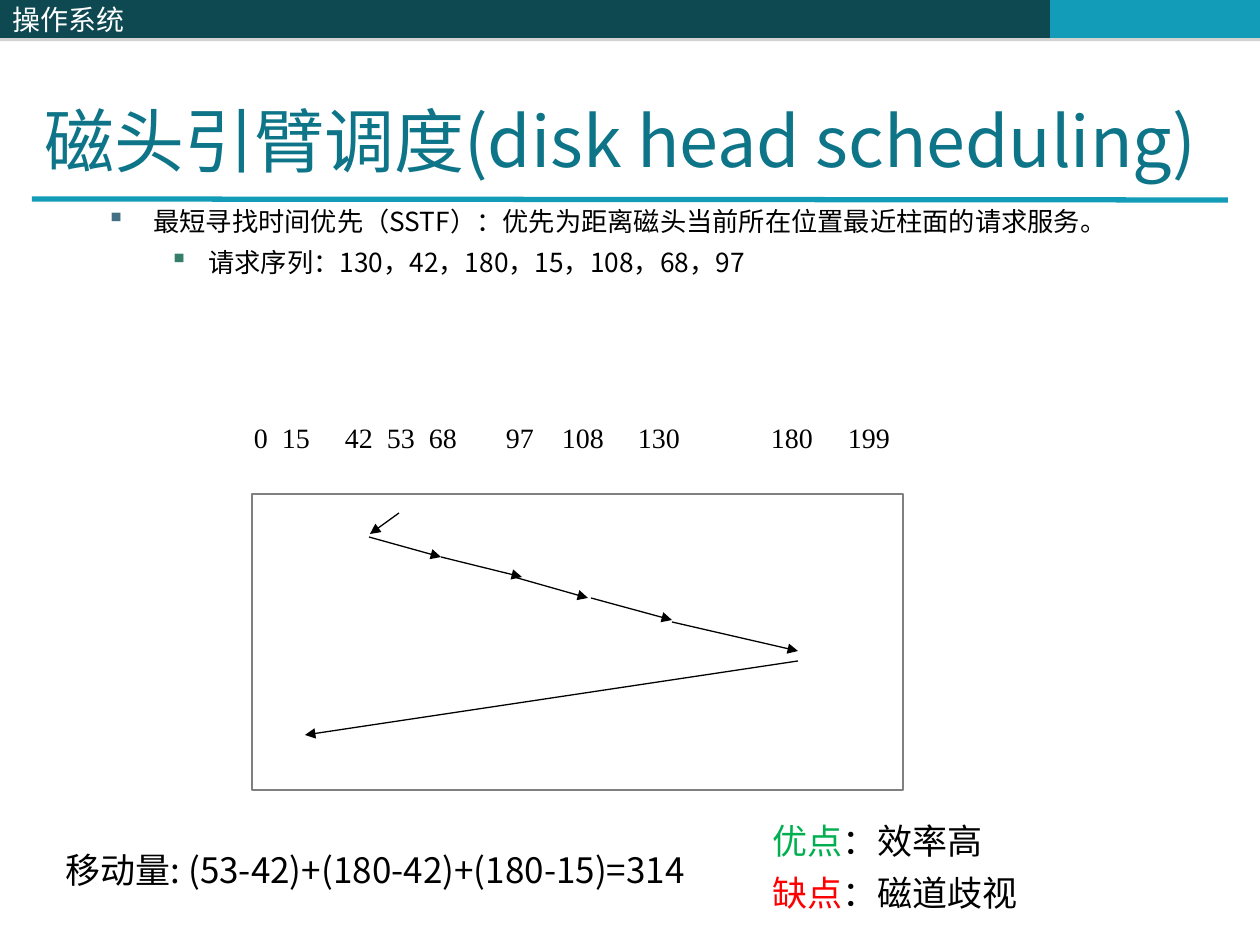
from dataclasses import dataclass

from lxml.etree import SubElement
from pptx import Presentation
from pptx.dml.color import RGBColor
from pptx.enum.shapes import MSO_CONNECTOR, MSO_SHAPE
from pptx.enum.text import MSO_ANCHOR, PP_ALIGN
from pptx.oxml.ns import qn
from pptx.util import Emu, Pt

EMU_PER_PX = 914400 / 126


def px(length):
    return Emu(round(length * EMU_PER_PX))


@dataclass(frozen=True)
class Theme:
    sans: str = "Noto Sans CJK SC"
    serif: str = "Times New Roman"
    dark: str = "0E4851"
    accent: str = "139CB7"
    title: str = "0E7589"
    ink: str = "000000"
    white: str = "FFFFFF"
    grey: str = "808080"
    bullet: str = "437085"
    sub_bullet: str = "357E69"
    good: str = "00B050"
    bad: str = "FF0000"
    title_size: int = 40
    note_size: int = 20
    label_size: int = 16
    body_size: int = 15


class SlideBuilder:
    def __init__(self, slide, theme):
        self.slide = slide
        self.theme = theme

    def font(self, paragraph, size, color, name=None):
        name = name or self.theme.sans
        paragraph.font.size = Pt(size)
        paragraph.font.name = name
        paragraph.font.color.rgb = RGBColor.from_string(color)
        defaults = paragraph._p.pPr.find(qn("a:defRPr"))
        SubElement(defaults, qn("a:ea"), typeface=name)

    def bar(self, left, width, color):
        """Header bar with a thin hard shadow below it."""
        bar = self.slide.shapes.add_shape(
            MSO_SHAPE.RECTANGLE, px(left), 0, px(width), px(38))
        bar.fill.solid()
        bar.fill.fore_color.rgb = RGBColor.from_string(color)
        bar.line.fill.background()
        bar.shadow.inherit = False
        effects = bar._element.spPr.find(qn("a:effectLst"))
        shadow = SubElement(effects, qn("a:outerShdw"), blurRad="0",
                            dist=str(Pt(1.8)), dir="5400000")
        tint = SubElement(shadow, qn("a:srgbClr"), val=self.theme.grey)
        SubElement(tint, qn("a:alpha"), val="35000")
        return bar

    def bar_text(self, bar, text):
        bar.text_frame.text = text
        bar.text_frame.vertical_anchor = MSO_ANCHOR.MIDDLE
        paragraph = bar.text_frame.paragraphs[0]
        paragraph.alignment = PP_ALIGN.LEFT
        self.font(paragraph, self.theme.label_size, self.theme.white)

    def title(self, text, left, top, width, height):
        title = self.slide.shapes.title
        title.left, title.top = px(left), px(top)
        title.width, title.height = px(width), px(height)
        title.text_frame.text = text
        title.text_frame.vertical_anchor = MSO_ANCHOR.MIDDLE
        paragraph = title.text_frame.paragraphs[0]
        paragraph.alignment = PP_ALIGN.LEFT
        self.font(paragraph, self.theme.title_size, self.theme.title)

    def frame(self, left, top, width, height):
        frame = self.slide.shapes.add_shape(
            MSO_SHAPE.RECTANGLE, px(left), px(top), px(width), px(height))
        frame.fill.background()
        frame.line.color.rgb = RGBColor.from_string(self.theme.grey)
        frame.line.width = Pt(0.75)
        frame.shadow.inherit = False

    def line(self, start, end, color, weight, arrow=False):
        line = self.slide.shapes.add_connector(
            MSO_CONNECTOR.STRAIGHT, *map(px, (*start, *end)))
        line.line.color.rgb = RGBColor.from_string(color)
        line.line.width = Pt(weight)
        if arrow:
            SubElement(line.line._get_or_add_ln(), qn("a:tailEnd"), type="triangle")
        SubElement(line._element.spPr, qn("a:effectLst"))

    def text_box(self, left, top, width, height):
        box = self.slide.shapes.add_textbox(
            px(left), px(top), px(width), px(height))
        box.text_frame.word_wrap = True
        return box.text_frame

    def bullets(self, items, left, top, width, height):
        """Items are (text, text indent, hanging indent, bullet colour)."""
        frame = self.text_box(left, top, width, height)
        for index, (text, indent, hanging, color) in enumerate(items):
            paragraph = frame.paragraphs[0] if index == 0 else frame.add_paragraph()
            paragraph.text = text
            properties = paragraph._p.get_or_add_pPr()
            properties.set("marL", str(px(indent)))
            properties.set("indent", str(-px(hanging)))
            bullet_color = SubElement(properties, qn("a:buClr"))
            SubElement(bullet_color, qn("a:srgbClr"), val=color)
            SubElement(properties, qn("a:buChar"), char="▪")
            paragraph.line_spacing = Pt(23.5)
            self.font(paragraph, self.theme.body_size, self.theme.ink)

    def axis(self, stops, left, top, width, height):
        """One line of labels, each set at a tab stop after the first."""
        frame = self.text_box(left, top, width, height)
        frame.margin_left = frame.margin_right = px(2)
        frame.margin_top = frame.margin_bottom = 0
        paragraph = frame.paragraphs[0]
        paragraph.text = "\t".join(str(cylinder) for cylinder in stops)
        tabs = SubElement(paragraph._p.get_or_add_pPr(), qn("a:tabLst"))
        for offset in list(stops.values())[1:]:
            SubElement(tabs, qn("a:tab"), pos=str(px(offset)), algn="l")
        self.font(paragraph, self.theme.label_size, self.theme.ink, self.theme.serif)

    def notes(self, lines, left, top, width, height):
        """Lines are lists of (text, colour); None keeps the ink colour."""
        frame = self.text_box(left, top, width, height)
        for index, parts in enumerate(lines):
            paragraph = frame.paragraphs[0] if index == 0 else frame.add_paragraph()
            paragraph.line_spacing = Pt(24)
            if index:
                paragraph.space_before = Pt(6)
            self.font(paragraph, self.theme.note_size, self.theme.ink)
            for text, color in parts:
                run = paragraph.add_run()
                run.text = text
                if color:
                    run.font.color.rgb = RGBColor.from_string(color)


def main():
    deck = Presentation()
    deck.slide_width, deck.slide_height = px(1260), px(945)
    theme = Theme()
    page = SlideBuilder(deck.slides.add_slide(deck.slide_layouts[5]), theme)

    # Header and title
    page.bar(514, 536, theme.dark)
    page.bar(1050, 210, theme.accent)
    page.line((32, 199), (1228, 200), theme.accent, 3)
    course = page.bar(0, 514, theme.dark)
    page.bar_text(course, "操作系统")
    page.title("磁头引臂调度(disk head scheduling)", 32, 60, 1260, 158)

    # Algorithm and its request queue
    page.bullets([
        ("最短寻找时间优先（SSTF）：优先为距离磁头当前所在位置最近柱面的请求服务。",
         47, 47, theme.bullet),
        ("请求序列：130，42，180，15，108，68，97", 102, 39, theme.sub_bullet),
    ], 94, 189, 1082, 126)

    # Cylinder axis: number and offset from the axis start
    cylinders = {0: 0, 15: 28, 42: 91, 53: 133, 68: 175, 97: 252,
                 108: 308, 130: 384, 180: 517, 199: 594}
    page.frame(252, 494, 651, 296)
    page.axis(cylinders, 252, 421, 976, 66)

    # Head moves in service order
    moves = [
        ((399, 513), (370, 534)),
        ((369, 537), (441, 557)),
        ((441, 557), (522, 577)),
        ((514, 577), (588, 598)),
        ((591, 598), (672, 620)),
        ((672, 622), (798, 651)),
        ((798, 661), (305, 735)),
    ]
    for start, end in moves:
        page.line(start, end, theme.ink, 0.75, arrow=True)

    # Total movement, strength and weakness
    page.notes([[("移动量: (53-42)+(180-42)+(180-15)=314", None)]], 53, 842, 700, 55)
    page.notes([
        [("优点", theme.good), ("：效率高", None)],
        [("缺点", theme.bad), ("：磁道歧视", None)],
    ], 760, 813, 417, 107)

    deck.save("out.pptx")


if __name__ == "__main__":
    main()
